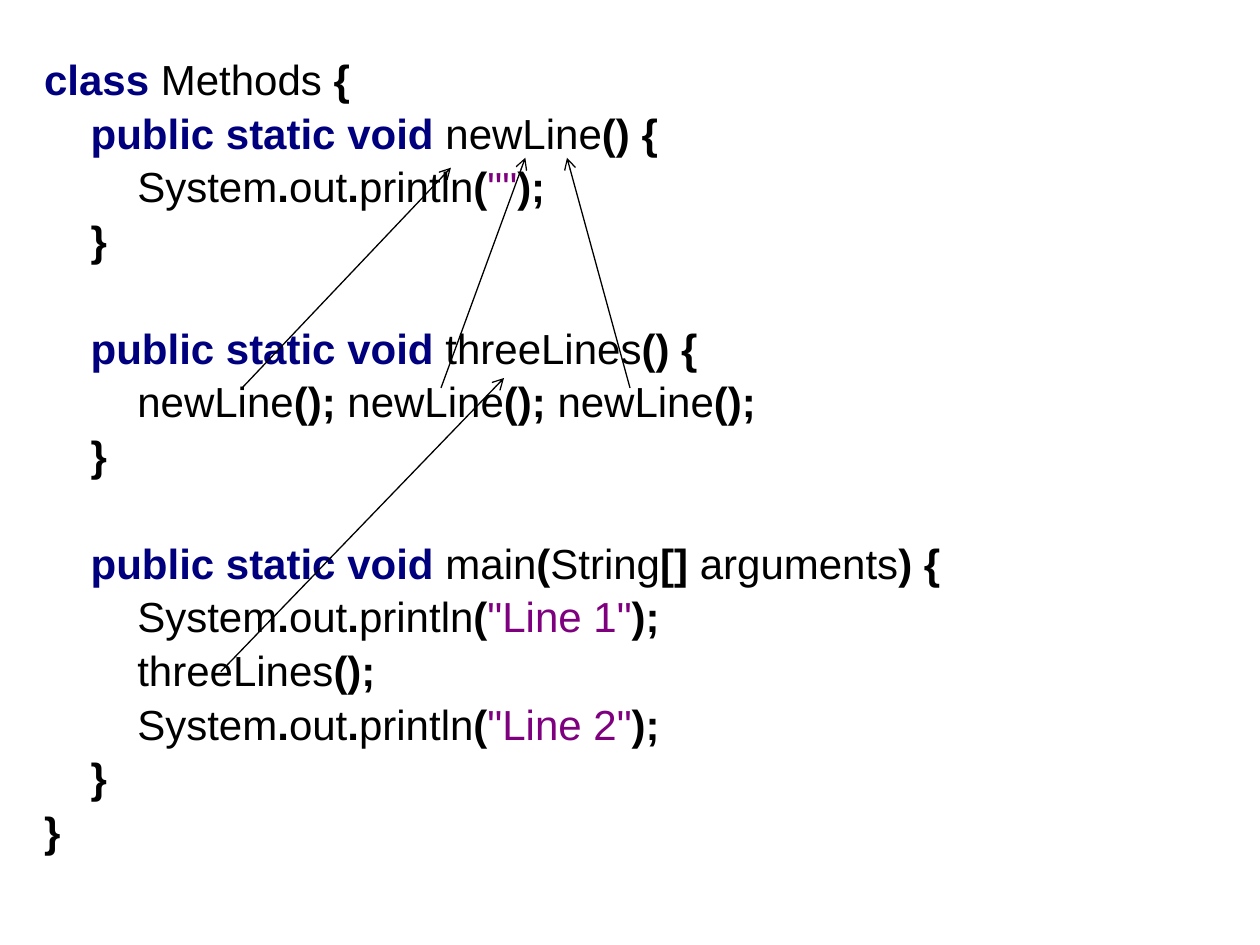
from dataclasses import dataclass

from lxml.etree import SubElement
from pptx import Presentation
from pptx.dml.color import RGBColor
from pptx.enum.shapes import MSO_CONNECTOR
from pptx.enum.text import MSO_ANCHOR, MSO_AUTO_SIZE
from pptx.oxml.ns import qn
from pptx.util import Cm, Pt


@dataclass(frozen=True)
class Theme:
    """Colours, type and spacing of the slide."""
    font: str = "Arial"
    size: float = 24
    ink: str = "000000"
    keyword: str = "00007F"
    string: str = "7F007F"
    line_width: float = 0.75
    leading: float = 0.9
    gap: float = 4.8
    block_gap: float = 35.5
    hanging: float = 0.97
    level: float = 0.94


T = Theme()


def add_run(p, text, color=T.ink, bold=False):
    """Add one formatted run to a paragraph."""
    r = p.add_run()
    r.text = text
    r.font.name, r.font.size, r.font.bold = T.font, Pt(T.size), bold
    r.font.color.rgb = RGBColor.from_string(color)


def keyword(text):
    """Return a keyword token."""
    return text, {"color": T.keyword, "bold": True}


def name(text):
    """Return an identifier token."""
    return text, {}


def mark(text):
    """Return a punctuation token."""
    return text, {"bold": True}


def string(text):
    """Return a string literal token."""
    return f'"{text}"', {"color": T.string}


def call(method, end="();"):
    """Return the tokens of a call without arguments."""
    return [name(method), mark(end)]


def println(text):
    """Return the tokens of a print statement."""
    return [name("System"), mark("."), name("out"), mark("."),
            name("println"), mark("("), string(text), mark(");")]


def method(head, *body):
    """Return the lines of a method as (level, tokens) pairs."""
    return [(1, [keyword("public static void "), *head]),
            *[(2, tokens) for tokens in body],
            (1, [mark("}")])]


def add_code(s, lines, starts, left, top, width, height):
    """Add a text box of code, with a wide gap before the lines in starts."""
    tf = s.shapes.add_textbox(Cm(left), Cm(top), Cm(width), Cm(height)).text_frame
    tf.word_wrap = True
    tf.auto_size = MSO_AUTO_SIZE.NONE
    tf.vertical_anchor = MSO_ANCHOR.TOP
    for i, (level, tokens) in enumerate(lines):
        p = tf.add_paragraph() if i else tf.paragraphs[0]
        p.line_spacing = T.leading
        p.space_before = Pt(T.block_gap if i in starts else T.gap)
        pPr = p._p.get_or_add_pPr()
        pPr.set("marL", str(Cm(T.hanging + level * T.level)))
        pPr.set("indent", str(-Cm(T.hanging)))
        for text, fmt in tokens:
            add_run(p, text, **fmt)


def add_arrow(s, x1, y1, x2, y2):
    """Add a thin arrow that points at its second end."""
    c = s.shapes.add_connector(MSO_CONNECTOR.STRAIGHT, Cm(x1), Cm(y1), Cm(x2), Cm(y2))
    c.line.color.rgb = RGBColor.from_string(T.ink)
    c.line.width = Pt(T.line_width)
    SubElement(c.line._get_or_add_ln(), qn("a:tailEnd"), type="arrow")
    SubElement(c._element.spPr, qn("a:effectLst"))


def main():
    """Build the slide and save it."""
    prs = Presentation()
    prs.slide_width, prs.slide_height = Cm(25.4), Cm(19.05)
    s = prs.slides.add_slide(prs.slide_layouts[6])

    methods = [
        method(call("newLine", "() {"), println("")),
        method(call("threeLines", "() {"),
               call("newLine", "(); ") * 2 + call("newLine")),
        method([name("main"), mark("("), name("String"), mark("[] "),
                name("arguments"), mark(") {")],
               println("Line 1"), call("threeLines"), println("Line 2")),
    ]
    lines = [(0, [keyword("class "), name("Methods "), mark("{")])]
    starts = []
    for block in methods:
        starts.append(len(lines))
        lines += block
    lines.append((0, [mark("}")]))
    add_code(s, lines, starts[1:], 0.64, 1.07, 24.33, 11.43)

    for ends in [(4.45, 13.54, 10.16, 7.62), (4.88, 7.82, 9.09, 3.38),
                 (8.89, 7.82, 10.59, 3.18), (12.7, 7.82, 11.43, 3.18)]:
        add_arrow(s, *ends)
    prs.save("out.pptx")


main()
